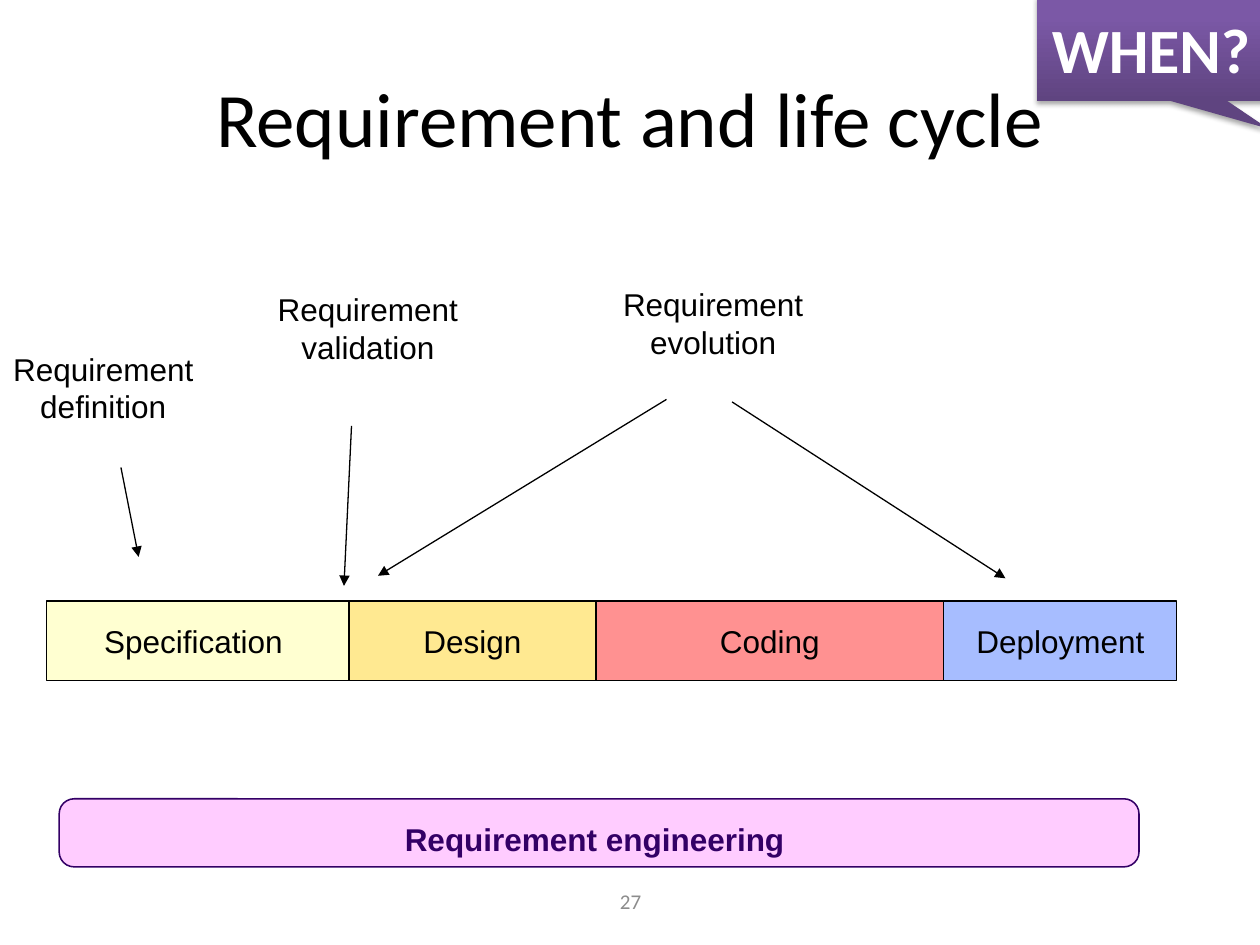
from lxml.etree import SubElement
from pptx import Presentation
from pptx.dml.color import RGBColor
from pptx.enum.shapes import MSO_CONNECTOR as Connector, MSO_SHAPE as Shape
from pptx.enum.text import MSO_ANCHOR as Anchor, PP_ALIGN as Align
from pptx.oxml.ns import qn
from pptx.util import Inches, Pt

PHASES = [
    ("Specification ", 2.4, "FFFF99", 45),
    ("Design", 1.96, "FFCC00", 43),
    ("Coding", 2.76, "FF0000", 43),
    ("Deployment", 1.85, "3366FF", 43),
]
ACTIVITIES = [("definition", 0, 2.72), ("validation", 2.1, 2.25), ("evolution", 4.84, 2.21)]
ARROWS = [
    (0.96, 3.71, 1.1, 4.42),
    (2.79, 3.38, 2.73, 4.65),
    (5.29, 3.17, 3, 4.57),
    (5.81, 3.19, 7.98, 4.59),
]


def color(value):
    """Turn a hex string into a colour."""
    return RGBColor.from_string(value)


def write(shape, lines, size=18, font="Arial", ink="000000", bold=False, wrap=False):
    """Write centred paragraphs in the middle of a shape."""
    frame = shape.text_frame
    frame.text = "\n".join(lines)
    frame.word_wrap = wrap
    frame.vertical_anchor = Anchor.MIDDLE
    for para in frame.paragraphs:
        para.alignment = Align.CENTER
        para.font.size, para.font.name, para.font.bold = Pt(size), font, bold
        para.font.color.rgb = color(ink)


def add_label(page, lines, left, top, width, height, **style):
    """Add a text box."""
    box = page.shapes.add_textbox(*map(Inches, (left, top, width, height)))
    write(box, lines, **style)
    return box


def add_box(page, kind, left, top, width, height, fill, line, weight=0.75):
    """Add a filled and outlined shape without a shadow."""
    box = page.shapes.add_shape(kind, *map(Inches, (left, top, width, height)))
    box.shadow.inherit = False
    box.fill.solid()
    box.fill.fore_color.rgb = color(fill)
    box.line.color.rgb = color(line)
    box.line.width = Pt(weight)
    return box


def set_opacity(shape, percent):
    """Make a solid fill partly transparent."""
    tint = shape._element.spPr.find(qn("a:solidFill"))[0]
    SubElement(tint, qn("a:alpha"), val=str(percent * 1000))


def add_phases(page, left, top, height):
    """Lay the life cycle phases end to end."""
    for name, width, fill, opacity in PHASES:
        box = add_box(page, Shape.RECTANGLE, left, top, width, height, fill, "000000")
        set_opacity(box, opacity)
        write(box, [name])
        left += width


def add_arrow(page, *ends):
    """Add a thin line with a triangle at its end."""
    arrow = page.shapes.add_connector(Connector.STRAIGHT, *map(Inches, ends))
    arrow.line.color.rgb = color("000000")
    arrow.line.width = Pt(0.75)
    SubElement(arrow.line._get_or_add_ln(), qn("a:tailEnd"), type="triangle")
    SubElement(arrow._element.spPr, qn("a:effectLst"))


def add_callout(page, text, left, top, width, height):
    """Add the purple gradient callout with a soft shadow."""
    callout = page.shapes.add_shape(
        Shape.RECTANGULAR_CALLOUT, *map(Inches, (left, top, width, height)))
    callout.adjustments[0], callout.adjustments[1] = 0.515, 0.768
    callout.fill.gradient()
    callout.fill.gradient_angle = 90
    stops = [(0, "5F4480"), (0.8, "7B58A6")]
    for stop, (position, tint) in zip(callout.fill.gradient_stops, stops):
        stop.position = position
        stop.color.rgb = color(tint)
    callout.line.fill.background()
    callout.shadow.inherit = False
    effects = callout._element.spPr.find(qn("a:effectLst"))
    shadow = SubElement(effects, qn("a:outerShdw"), blurRad=str(Pt(3.1)),
                        dist=str(Pt(1.8)), dir="5400000", rotWithShape="0")
    tint = SubElement(shadow, qn("a:srgbClr"), val="000000")
    SubElement(tint, qn("a:alpha"), val="35000")
    write(callout, [text], 36, "Calibri", "FFFFFF", True)


def set_title(page, text, left, top, width, height):
    """Place and fill the title placeholder."""
    title = page.shapes.title
    title.left, title.top, title.width, title.height = map(Inches, (left, top, width, height))
    write(title, [text], 44, "Calibri", wrap=True)


def main():
    """Build the slide and save it."""
    deck = Presentation()
    deck.slide_width, deck.slide_height = Inches(10), Inches(7.5)
    page = deck.slides.add_slide(deck.slide_layouts[5])
    set_title(page, "Requirement and life cycle", 0.5, 0.3, 9, 1.25)
    add_label(page, ["27"], 3.42, 6.95, 3.17, 0.4,
              size=12, font="Calibri", ink="8C8C8C", wrap=True)
    bar = add_box(page, Shape.ROUNDED_RECTANGLE, 0.47, 6.34, 8.57, 0.54,
                  "FFCCFF", "330066", 0.88)
    bar.adjustments[0] = 0.22
    add_label(page, ["Requirement engineering"], 2.97, 6.51, 3.5, 0.3,
              ink="330066", bold=True)
    add_phases(page, 0.37, 4.77, 0.63)
    for name, left, top in ACTIVITIES:
        add_label(page, ["Requirement", name], left, top, 1.64, 0.71)
    for ends in ARROWS:
        add_arrow(page, *ends)
    add_callout(page, "WHEN?", 8.23, -0.03, 1.81, 0.83)
    deck.save("out.pptx")


if __name__ == "__main__":
    main()
